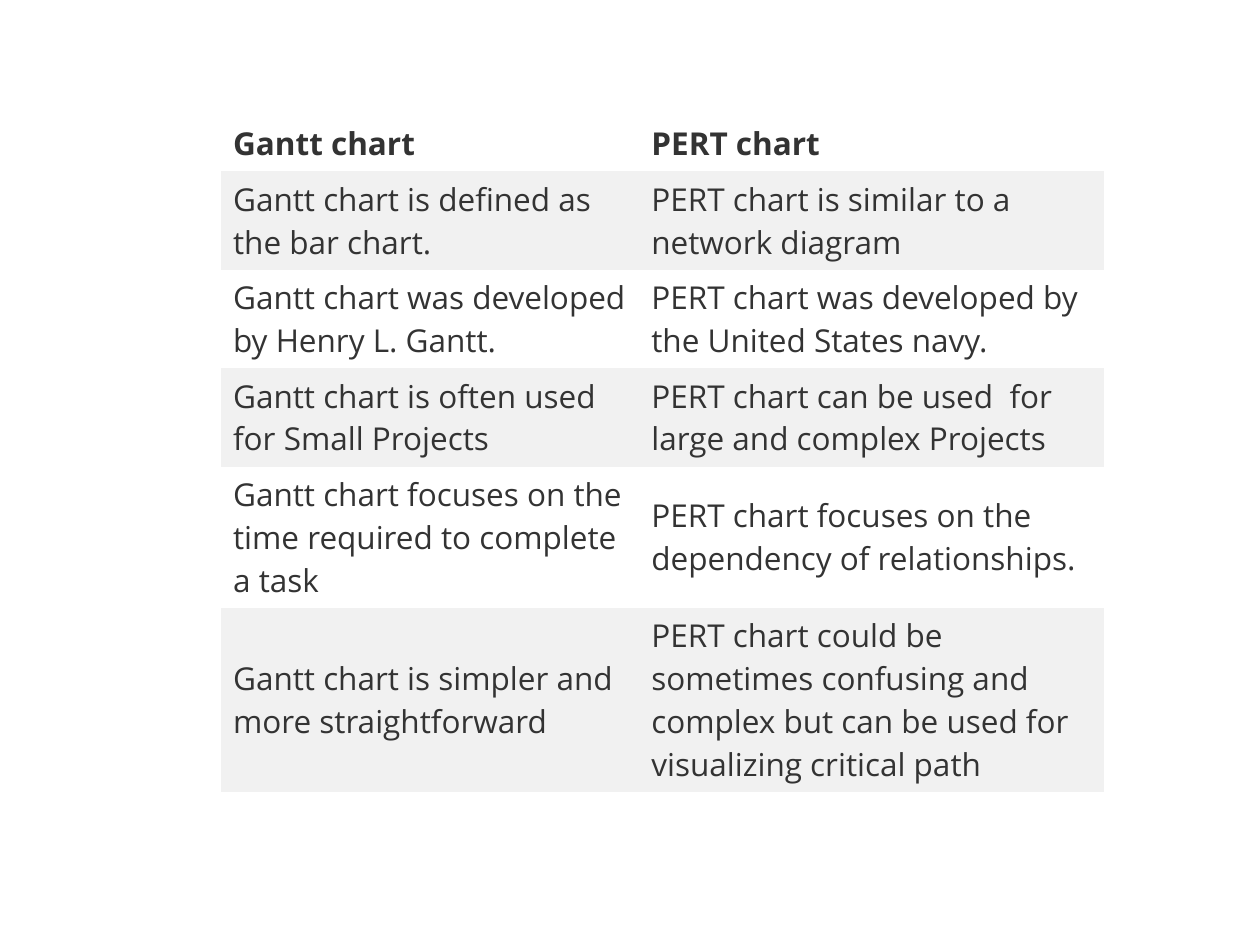
"""Build a slide with a table comparing Gantt and PERT charts."""
from dataclasses import dataclass
from typing import NamedTuple

from pptx import Presentation
from pptx.dml.color import RGBColor as RGB
from pptx.enum.text import MSO_ANCHOR as Anchor
from pptx.util import Inches, Pt


@dataclass(frozen=True)
class Theme:
    font: str = "Open Sans"
    size: float = 18
    ink: str = "333333"
    bands: tuple[str, str] = ("FFFFFF", "F1F1F1")


class Row(NamedTuple):
    gantt: str
    pert: str
    height: float


THEME = Theme()
COL_WIDTHS = (3.32, 3.69)
ROWS = [
    Row("Gantt chart", "PERT chart", 0.44),
    Row("Gantt chart is defined as the bar chart.",
        "PERT chart is similar to a network diagram", 0.78),
    Row("Gantt chart was developed by Henry L. Gantt.",
        "PERT chart was developed by the United States navy.", 0.78),
    Row("Gantt chart is often used for Small Projects",
        "PERT chart can be used  for large and complex Projects", 0.78),
    Row("Gantt chart focuses on the time required to complete a task",
        "PERT chart focuses on the dependency of relationships.", 1.12),
    Row("Gantt chart is simpler and more straightforward",
        "PERT chart could be sometimes confusing and complex "
        "but can be used for visualizing critical path", 1.46),
]


def write_cell(cell, text: str, *, fill: str, bold: bool = False) -> None:
    cell.fill.solid()
    cell.fill.fore_color.rgb = RGB.from_string(fill)
    cell.vertical_anchor = Anchor.MIDDLE
    cell.margin_left = cell.margin_right = Inches(0.1)
    cell.margin_top = cell.margin_bottom = Inches(0.05)
    r = cell.text_frame.paragraphs[0].add_run()
    r.text = text
    r.font.name = THEME.font
    r.font.size = Pt(THEME.size)
    r.font.bold = bold
    r.font.color.rgb = RGB.from_string(THEME.ink)


def draw_table(s, rows: list[Row], left: float, top: float) -> None:
    table = s.shapes.add_table(
        len(rows), len(COL_WIDTHS), Inches(left), Inches(top),
        Inches(sum(COL_WIDTHS)), Inches(sum(row.height for row in rows))).table
    for column, width in zip(table.columns, COL_WIDTHS):
        column.width = Inches(width)
    table.first_row = table.horz_banding = False
    tbl_pr = table._tbl.tblPr
    tbl_pr[0].text = "{2D5ABB26-0587-4C30-8999-92F81FD0307C}"
    for i, row in enumerate(rows):
        table.rows[i].height = Inches(row.height)
        for j, text in enumerate((row.gantt, row.pert)):
            write_cell(table.cell(i, j), text, fill=THEME.bands[i % 2], bold=i == 0)


def main() -> None:
    prs = Presentation()
    prs.slide_width, prs.slide_height = Inches(10), Inches(7.5)
    s = prs.slides.add_slide(prs.slide_layouts[6])
    draw_table(s, ROWS, left=1.75, top=0.92)
    prs.save("out.pptx")


if __name__ == "__main__":
    main()
